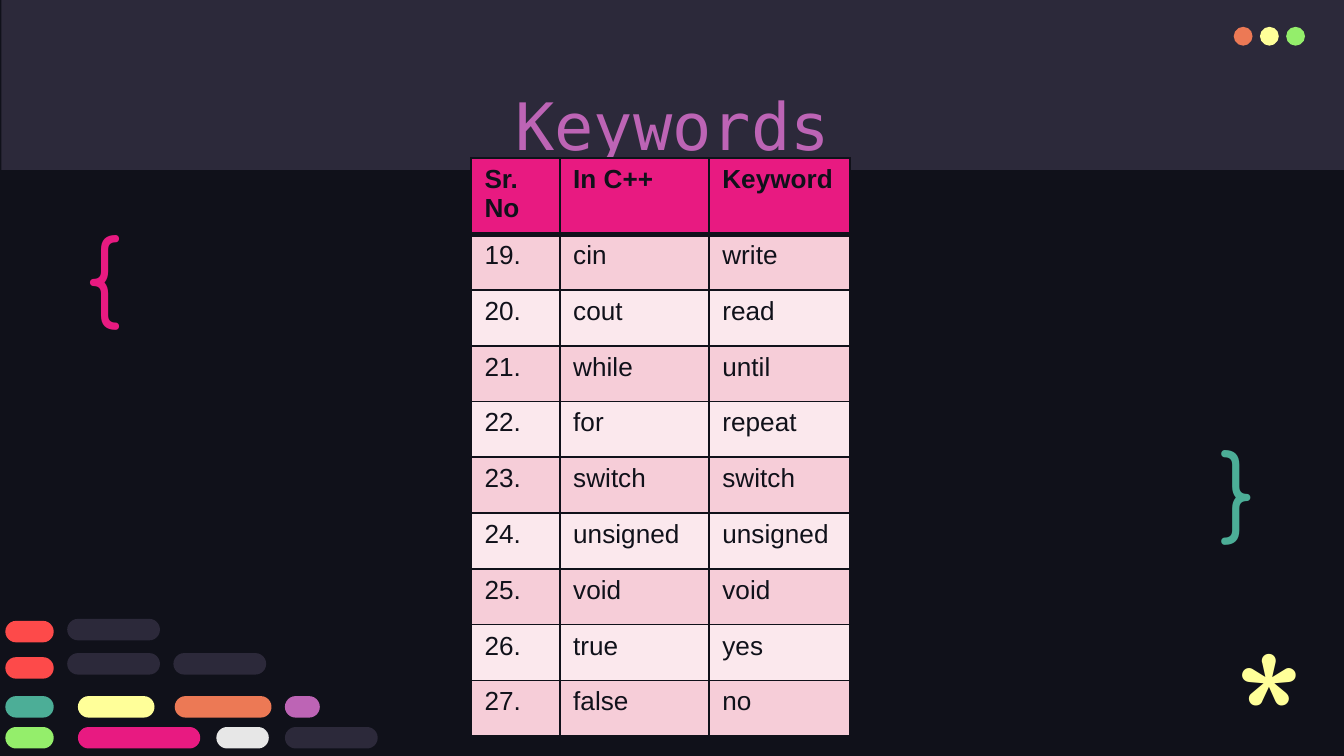
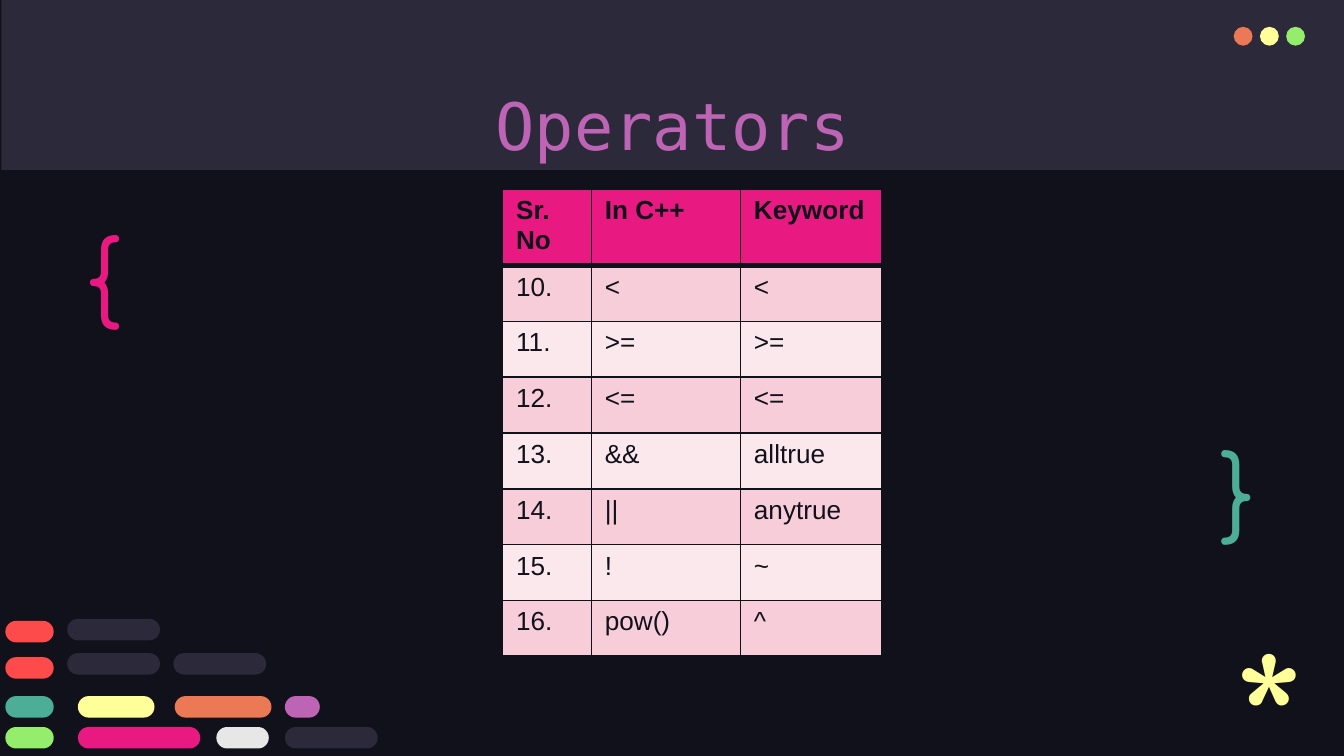
from dataclasses import dataclass
from typing import Any, NamedTuple

from lxml import etree
from pptx import Presentation
from pptx import util as u
from pptx.dml import color as dml
from pptx.enum import shapes, text
from pptx.oxml import ns

EMU_PER_PX = 4572
SLIDE_WIDTH, SLIDE_HEIGHT = 2000, 1125

NIGHT, SLATE = "10111A", "2C293A"
PINK, ROSE, BLUSH = "E81A81", "F6CDD8", "FBE8ED"
RED, ORANGE, YELLOW = "FD4A4A", "EC7955", "FFFF99"
GREEN, TEAL, PURPLE, SILVER = "94EE6B", "4CAE97", "BD64B5", "E7E7E7"

DOT_LEFT, DOT_TOP, DOT_SIZE, DOT_STEP = 1836, 40, 28, 39
PILL_HEIGHT = 32
COLUMN_WIDTHS = (132, 222, 210)
ROW_HEIGHT = 83
HEADINGS = ("Sr. No", "In C++", "Keyword")


class Box(NamedTuple):
    left: int
    top: int
    width: int
    height: int


class Pill(NamedTuple):
    left: int
    top: int
    width: int
    color: str


@dataclass(frozen=True)
class Label:
    box: Box
    size: int
    font: str
    color: str
    content: str = ""
    align: Any = text.PP_ALIGN.LEFT
    anchor: Any = text.MSO_ANCHOR.TOP
    inset_top: int = 20


@dataclass(frozen=True)
class TableSlide:
    title: str
    left: int
    top: int
    first_number: int
    pairs: tuple[tuple[str, str], ...]


TITLE = Label(Box(158, 98, 1686, 126), 35, "DejaVu Sans Mono", PURPLE,
              align=text.PP_ALIGN.CENTER, inset_top=28)

SYMBOLS = (
    Label(Box(108, 300, 154, 190), 50, "Comfortaa", PINK, "{"),
    Label(Box(1796, 640, 114, 166), 50, "Comfortaa", TEAL, "}",
          anchor=text.MSO_ANCHOR.MIDDLE),
    Label(Box(1818, 896, 114, 174), 96, "Comfortaa", YELLOW, "*"),
)

PILLS = (
    Pill(8, 924, 72, RED),
    Pill(8, 978, 72, RED),
    Pill(8, 1036, 72, TEAL),
    Pill(116, 1036, 114, YELLOW),
    Pill(260, 1036, 144, ORANGE),
    Pill(424, 1036, 52, PURPLE),
    Pill(8, 1082, 72, GREEN),
    Pill(116, 1082, 182, PINK),
    Pill(322, 1082, 78, SILVER),
    Pill(424, 1082, 138, SLATE),
    Pill(100, 972, 138, SLATE),
    Pill(100, 921, 138, SLATE),
    Pill(258, 972, 138, SLATE),
)

TABLE_SLIDES = (
    TableSlide("Keywords", 701, 235, 19, (
        ("cin", "write"),
        ("cout", "read"),
        ("while", "until"),
        ("for", "repeat"),
        ("switch", "switch"),
        ("unsigned", "unsigned"),
        ("void", "void"),
        ("true", "yes"),
        ("false", "no"),
    )),
    TableSlide("Operators", 748, 282, 10, (
        ("<", "<"),
        (">=", ">="),
        ("<=", "<="),
        ("&&", "alltrue"),
        ("||", "anytrue"),
        ("!", "~"),
        ("pow()", "^"),
    )),
)


def px(length: int) -> u.Emu:
    return u.Emu(length * EMU_PER_PX)


def paint(target: Any, color: str) -> None:
    target.solid()
    target.fore_color.rgb = dml.RGBColor.from_string(color)


def apply_format(target: Any, values: dict[str, Any]) -> None:
    for name, value in values.items():
        setattr(target, name, value)


def write_text(paragraph: Any, content: str, font: str, size: int,
               color: str, bold: bool = False) -> None:
    run = paragraph.add_run()
    run.text = content
    apply_format(run.font, {"name": font, "size": u.Pt(size), "bold": bold})
    paint(run.font.fill, color)


def add_block(parent: Any, kind: Any, box: Box, color: str) -> Any:
    shape = parent.add_shape(kind, *map(px, box))
    shape.shadow.inherit = False
    shape.line.fill.background()
    paint(shape.fill, color)
    return shape


def add_label(slide: Any, label: Label, content: str) -> None:
    frame = slide.shapes.add_textbox(*map(px, label.box)).text_frame
    apply_format(frame, {
        "word_wrap": True,
        "vertical_anchor": label.anchor,
        "margin_left": px(20),
        "margin_right": px(20),
        "margin_top": px(label.inset_top),
        "margin_bottom": px(20),
    })
    paragraph = frame.paragraphs[0]
    paragraph.alignment = label.align
    write_text(paragraph, content, label.font, label.size, label.color)


def add_header(slide: Any) -> None:
    add_block(slide.shapes, shapes.MSO_SHAPE.RECTANGLE,
              Box(2, 0, SLIDE_WIDTH, 253), SLATE)
    dots = slide.shapes.add_group_shape().shapes
    for index, color in enumerate((ORANGE, YELLOW, GREEN)):
        box = Box(DOT_LEFT + index * DOT_STEP, DOT_TOP, DOT_SIZE, DOT_SIZE)
        add_block(dots, shapes.MSO_SHAPE.OVAL, box, color)


def add_pills(slide: Any) -> None:
    group = slide.shapes.add_group_shape().shapes
    for pill in PILLS:
        box = Box(pill.left, pill.top, pill.width, PILL_HEIGHT)
        shape = add_block(group, shapes.MSO_SHAPE.ROUNDED_RECTANGLE, box, pill.color)
        shape.adjustments[0] = 0.5


def set_borders(cell: Any, top: int, bottom: int) -> None:
    properties = cell._tc.get_or_add_tcPr()
    for side, width in (("L", 1), ("R", 1), ("T", top), ("B", bottom)):
        line = etree.SubElement(properties, ns.qn(f"a:ln{side}"), w=str(u.Pt(width)))
        fill = etree.SubElement(line, ns.qn("a:solidFill"))
        etree.SubElement(fill, ns.qn("a:srgbClr"), val=NIGHT)


def add_word_table(slide: Any, content: TableSlide) -> None:
    rows = [HEADINGS] + [
        (f"{number}.", *pair)
        for number, pair in enumerate(content.pairs, content.first_number)
    ]
    box = Box(content.left, content.top, sum(COLUMN_WIDTHS), ROW_HEIGHT * len(rows))
    table = slide.shapes.add_table(len(rows), len(HEADINGS), *map(px, box)).table
    for column, width in zip(table.columns, COLUMN_WIDTHS):
        column.width = px(width)
    for row_index, row in enumerate(rows):
        is_header = row_index == 0
        table.rows[row_index].height = px(ROW_HEIGHT)
        color = PINK if is_header else (BLUSH, ROSE)[row_index % 2]
        for column_index, value in enumerate(row):
            cell = table.cell(row_index, column_index)
            set_borders(cell, 3 if row_index == 1 else 1, 3 if is_header else 1)
            paint(cell.fill, color)
            write_text(cell.text_frame.paragraphs[0], value, "Arial", 14,
                       NIGHT, is_header)


def add_table_slide(presentation: Any, content: TableSlide) -> None:
    slide = presentation.slides.add_slide(presentation.slide_layouts[6])
    paint(slide.background.fill, NIGHT)
    add_header(slide)
    add_label(slide, TITLE, content.title)
    brace_open, brace_close, asterisk = SYMBOLS
    for symbol in (brace_open, brace_close):
        add_label(slide, symbol, symbol.content)
    add_pills(slide)
    add_label(slide, asterisk, asterisk.content)
    add_word_table(slide, content)


def main() -> None:
    presentation = Presentation()
    apply_format(presentation, {
        "slide_width": px(SLIDE_WIDTH),
        "slide_height": px(SLIDE_HEIGHT),
    })
    for content in TABLE_SLIDES:
        add_table_slide(presentation, content)
    presentation.save("out.pptx")


if __name__ == "__main__":
    main()
